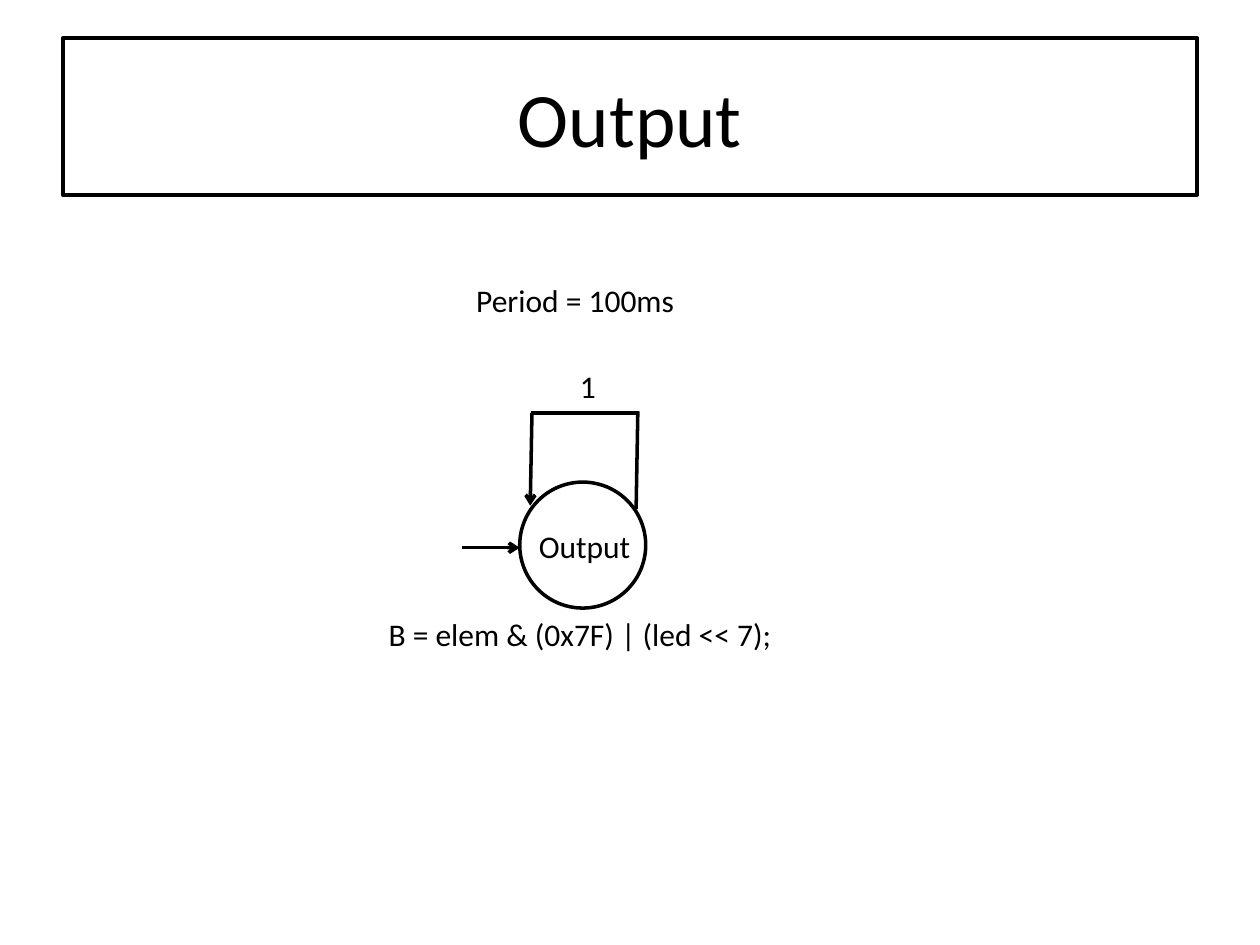
from dataclasses import dataclass

from lxml import etree
from pptx import Presentation
from pptx.dml.color import RGBColor
from pptx.enum.shapes import MSO_CONNECTOR, MSO_SHAPE
from pptx.enum.text import MSO_ANCHOR, PP_ALIGN
from pptx.oxml.ns import qn
from pptx.util import Pt

RECT, OVAL = MSO_SHAPE.RECTANGLE, MSO_SHAPE.OVAL
LINE = MSO_CONNECTOR.STRAIGHT
LEFT, MID = PP_ALIGN.LEFT, PP_ALIGN.CENTER
TOP, CENTER = MSO_ANCHOR.TOP, MSO_ANCHOR.MIDDLE
BLANK = 6


@dataclass(frozen=True)
class Theme:
    ink: RGBColor = RGBColor(0, 0, 0)
    paper: RGBColor = RGBColor(255, 255, 255)
    font: str = "Calibri"
    title: float = 44
    body: float = 18
    line: float = 2


@dataclass(frozen=True)
class Box:
    left: float
    top: float
    width: float
    height: float

    def place(self) -> tuple:
        return Pt(self.left), Pt(self.top), Pt(self.width), Pt(self.height)


@dataclass(frozen=True)
class Label:
    text: str
    box: Box
    align: PP_ALIGN = MID


@dataclass(frozen=True)
class Edge:
    x1: float
    y1: float
    x2: float
    y2: float
    arrow: bool = False


THEME = Theme()
TITLE = Box(36, 21.6, 648, 90)
STATE = Box(297, 275.5, 72, 72)
LABELS = [
    Label("Output", Box(299.5, 297.5, 69.1, 29)),
    Label("1", Box(295.2, 206, 81.4, 29)),
    Label("Period = 100ms", Box(265, 157.2, 152.6, 29), LEFT),
    Label("B = elem & (0x7F) | (led << 7);", Box(215, 347.8, 280, 29), LEFT),
]
EDGES = [
    Edge(264, 313, 297, 313, True),
    Edge(304, 236, 303, 289, True),
    Edge(364.5, 235, 363.5, 291),
    Edge(365, 236, 303.5, 236),
]


def write(shape, text: str, size: float, align: PP_ALIGN, anchor: MSO_ANCHOR) -> None:
    frame = shape.text_frame
    frame.word_wrap = True
    frame.vertical_anchor = anchor
    para = frame.paragraphs[0]
    para.text = text
    para.alignment = align
    para.font.name = THEME.font
    para.font.size = Pt(size)
    para.font.color.rgb = THEME.ink


def stroke(line) -> None:
    line.color.rgb = THEME.ink
    line.width = Pt(THEME.line)


def add_shape(slide, kind: MSO_SHAPE, box: Box):
    shape = slide.shapes.add_shape(kind, *box.place())
    shape.shadow.inherit = False
    shape.fill.solid()
    shape.fill.fore_color.rgb = THEME.paper
    stroke(shape.line)
    return shape


def add_label(slide, label: Label) -> None:
    shape = slide.shapes.add_textbox(*label.box.place())
    write(shape, label.text, THEME.body, label.align, TOP)


def add_edge(slide, edge: Edge) -> None:
    ends = (Pt(v) for v in (edge.x1, edge.y1, edge.x2, edge.y2))
    link = slide.shapes.add_connector(LINE, *ends)
    stroke(link.line)
    if edge.arrow:
        etree.SubElement(link.line._get_or_add_ln(), qn("a:tailEnd"), type="arrow")
    etree.SubElement(link._element.spPr, qn("a:effectLst"))


def main() -> None:
    deck = Presentation()
    deck.slide_width, deck.slide_height = Pt(720), Pt(540)
    slide = deck.slides.add_slide(deck.slide_layouts[BLANK])
    title = add_shape(slide, RECT, TITLE)
    title.fill.background()
    write(title, "Output", THEME.title, MID, CENTER)
    add_shape(slide, OVAL, STATE)
    for edge in EDGES:
        add_edge(slide, edge)
    for label in LABELS:
        add_label(slide, label)
    deck.save("out.pptx")


if __name__ == "__main__":
    main()
